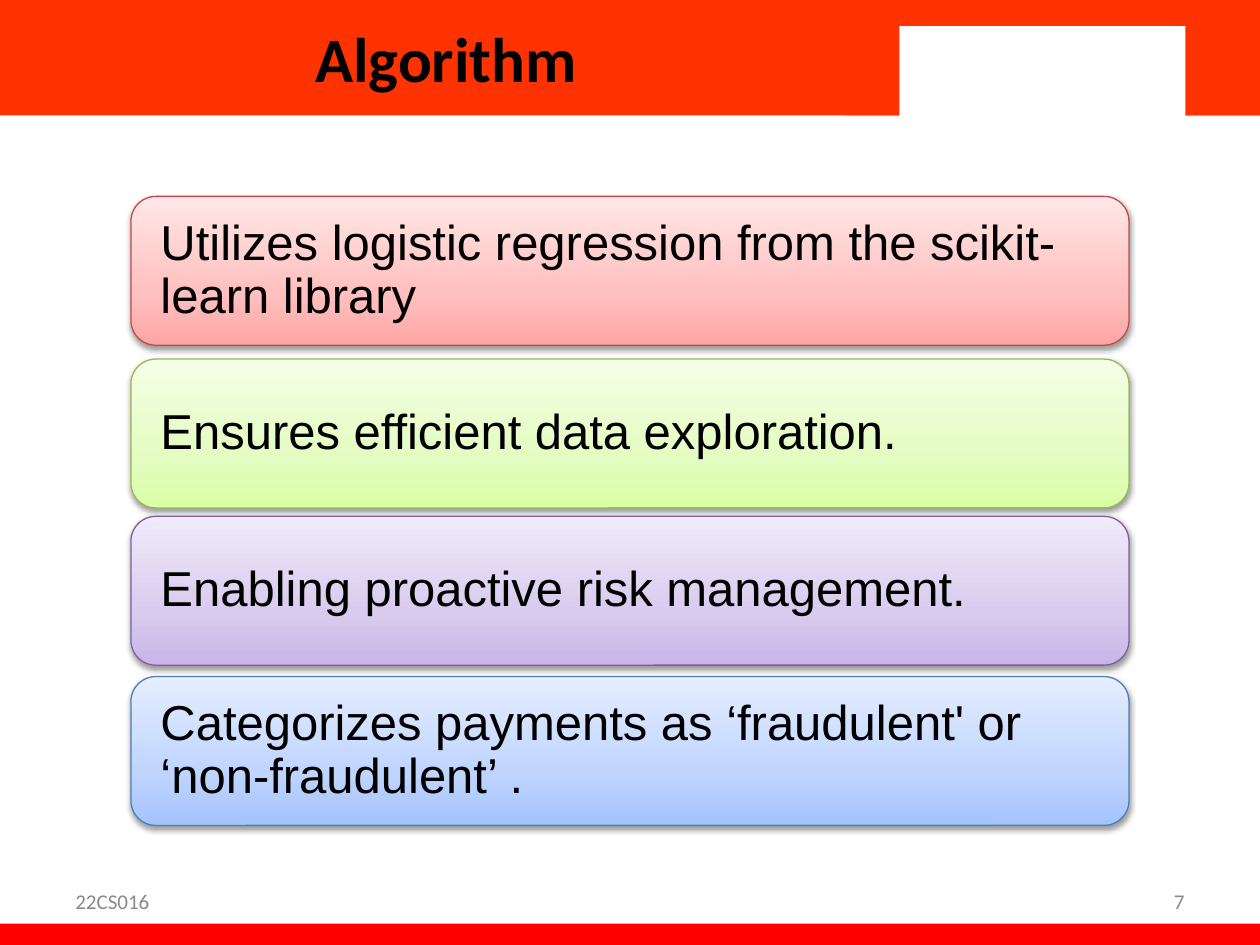
"""Build the "Algorithm" slide: a red header, four gradient cards and a footer."""
import copy

import lxml.etree
import pptx
import pptx.dml.color
import pptx.enum.shapes
import pptx.enum.text
import pptx.oxml
import pptx.oxml.ns
import pptx.util

Cm = pptx.util.Cm
Pt = pptx.util.Pt
RGB = pptx.dml.color.RGBColor.from_string
SHAPE = pptx.enum.shapes.MSO_SHAPE
ALIGN = pptx.enum.text.PP_ALIGN

COLOURS = {
    "header": "FF3300", "footer": "FF0000", "white": "FFFFFF",
    "text": "000000", "muted": "898989",
}
SHADOW = (
    f'<a:outerShdw {pptx.oxml.ns.nsdecls("a")} blurRad="40000" dist="20000" dir="5400000" '
    'rotWithShape="0"><a:srgbClr val="000000"><a:alpha val="38000"/></a:srgbClr></a:outerShdw>'
)


def write(box, text, size, font="Calibri", colour="text", bold=False, align=ALIGN.LEFT,
          inset_x=0.25, inset_y=0.13, line_spacing=None):
    frame = box.text_frame
    frame.word_wrap = True
    frame.auto_size = pptx.enum.text.MSO_AUTO_SIZE.NONE
    frame.vertical_anchor = pptx.enum.text.MSO_ANCHOR.MIDDLE
    frame.margin_left = frame.margin_right = Cm(inset_x)
    frame.margin_top = frame.margin_bottom = Cm(inset_y)
    para = frame.paragraphs[0]
    para.alignment = align
    para.line_spacing = line_spacing
    span = para.add_run()
    span.text = text
    span.font.name = font
    span.font.size = Pt(size)
    span.font.bold = bold
    span.font.color.rgb = RGB(COLOURS[colour])


deck = pptx.Presentation()
deck.slide_width, deck.slide_height = Cm(25.4), Cm(19.05)
page = deck.slides.add_slide(deck.slide_layouts[5])

bars = [
    (0, 0, 25.4, 2.33, "header"),
    (0, 18.62, 25.4, 0.56, "footer"),
    (17.07, 0, 8.33, 2.33, "header"),
    (18.13, 0.53, 5.77, 1.9, "white"),
]
for left, top, width, height, colour in bars:
    bar = page.shapes.add_shape(SHAPE.RECTANGLE, Cm(left), Cm(top), Cm(width), Cm(height))
    bar.shadow.inherit = False
    bar.fill.solid()
    bar.fill.fore_color.rgb = RGB(COLOURS[colour])
    bar.line.fill.background()

title = page.shapes.title
title.left, title.top, title.width, title.height = Cm(0), Cm(0), Cm(17.98), Cm(2.33)
title.element.getparent().append(title.element)
write(title, "Algorithm", 36, bold=True, align=ALIGN.CENTER)

for left, text, align in [(1.27, "22CS016", ALIGN.LEFT), (18.21, "7", ALIGN.RIGHT)]:
    box = page.shapes.add_textbox(Cm(left), Cm(17.65), Cm(5.92), Cm(1.02))
    write(box, text, 12, colour="muted", align=align)

cards = [
    (3.96, "Utilizes logistic regression from the scikit-learn library",
     "BF4C48", ("FFA6A5", "FFC0BF", "FFE7E7")),
    (7.24, "Ensures efficient data exploration.",
     "98B955", ("DAFDA7", "E4FCC2", "F5FFE7")),
    (10.41, "Enabling proactive risk management.",
     "7D60A0", ("C9B5E8", "D8CBEE", "F0EAF9")),
    (13.64, "Categorizes payments as ‘fraudulent' or ‘non-fraudulent’ .",
     "4B7EBC", ("A4C4FF", "BFD4FF", "E6EEFF")),
]
for top, text, outline, gradient in cards:
    card = page.shapes.add_shape(SHAPE.ROUNDED_RECTANGLE, Cm(2.64), Cm(top), Cm(20.12), Cm(3))
    card.fill.gradient()
    card.fill.gradient_angle = 90
    stops = card.element.spPr.find(".//" + pptx.oxml.ns.qn("a:gsLst"))
    stops.insert(1, copy.deepcopy(stops[0]))
    for stop, position, colour in zip(card.fill.gradient_stops, (0, 0.35, 1), gradient):
        stop.position = position
        stop.color.rgb = RGB(colour)
    card.line.color.rgb = RGB(outline)
    card.line.width = Pt(0.75)
    card.shadow.inherit = False
    effects = card.element.spPr.find(pptx.oxml.ns.qn("a:effectLst"))
    effects.append(lxml.etree.fromstring(SHADOW))
    write(card, text, 28, font="Arial", inset_x=0.45, inset_y=0.45, line_spacing=0.9)

deck.save("out.pptx")
